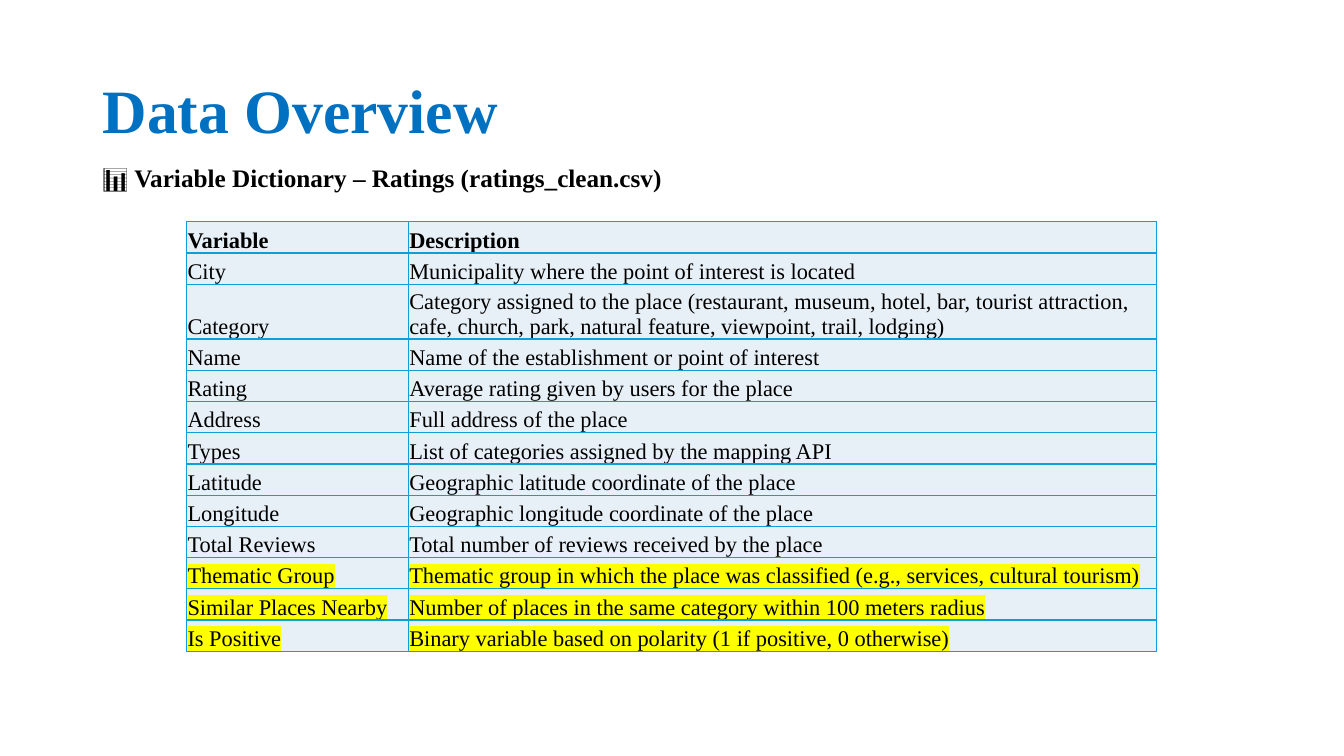
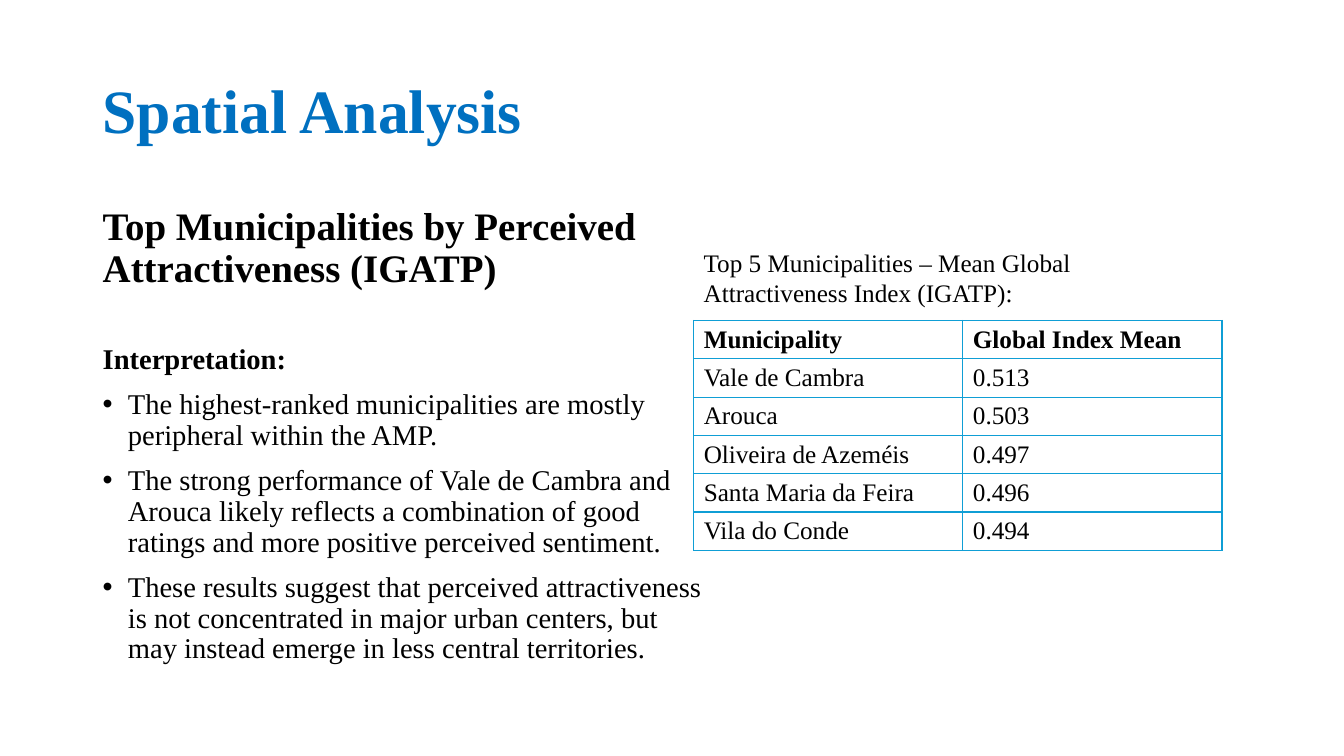
from lxml import etree
from pptx import Presentation
from pptx import util as u
from pptx.dml import color
from pptx.enum import text
from pptx.oxml import ns

FONT = "Times New Roman"
BLUE, BLACK, BORDER = "0070C0", "000000", "0F9ED5"
PALE, YELLOW = "E7F0F7", "FFFF00"

VARIABLES = [
    ("Variable", "Description"),
    ("City", "Municipality where the point of interest is located"),
    ("Category", "Category assigned to the place (restaurant, museum, hotel, bar, "
     "tourist attraction, cafe, church, park, natural feature, viewpoint, trail, lodging)"),
    ("Name", "Name of the establishment or point of interest"),
    ("Rating", "Average rating given by users for the place"),
    ("Address", "Full address of the place"),
    ("Types", "List of categories assigned by the mapping API"),
    ("Latitude", "Geographic latitude coordinate of the place"),
    ("Longitude", "Geographic longitude coordinate of the place"),
    ("Total Reviews", "Total number of reviews received by the place"),
    ("Thematic Group", "Thematic group in which the place was classified "
     "(e.g., services, cultural tourism)"),
    ("Similar Places Nearby", "Number of places in the same category within 100 meters radius"),
    ("Is Positive", "Binary variable based on polarity (1 if positive, 0 otherwise)"),
]
DERIVED = {"Thematic Group", "Similar Places Nearby", "Is Positive"}

MUNICIPALITIES = [
    ("Municipality", "Global Index Mean"),
    ("Vale de Cambra", "0.513"),
    ("Arouca", "0.503"),
    ("Oliveira de Azeméis", "0.497"),
    ("Santa Maria da Feira", "0.496"),
    ("Vila do Conde", "0.494"),
]
FINDINGS = [
    "The highest-ranked municipalities are mostly peripheral within the AMP.",
    "The strong performance of Vale de Cambra and Arouca likely reflects a combination "
    "of good ratings and more positive perceived sentiment.",
    "These results suggest that perceived attractiveness is not concentrated in major "
    "urban centers, but may instead emerge in less central territories.",
]


def rgb(value):
    return color.RGBColor.from_string(value)


def add_xml(parent, tag, **attributes):
    return etree.SubElement(parent, ns.qn(tag), attributes)


def set_font(paragraph, size, bold=None, fill=BLACK):
    font = paragraph.font
    font.name, font.size, font.bold = FONT, u.Pt(size), bold
    font.color.rgb = rgb(fill)


def add_text_box(slide, left, top, width, height, anchor=text.MSO_ANCHOR.TOP):
    shape = slide.shapes.add_textbox(*map(u.Inches, (left, top, width, height)))
    frame = shape.text_frame
    frame.word_wrap = True
    frame.vertical_anchor = anchor
    return frame


def add_title_slide(presentation, title):
    slide = presentation.slides.add_slide(presentation.slide_layouts[6])
    frame = add_text_box(slide, 0.92, 0.4, 11.5, 1.45, text.MSO_ANCHOR.MIDDLE)
    paragraph = frame.paragraphs[0]
    paragraph.text = title
    paragraph.line_spacing = 0.9
    set_font(paragraph, 44, True, BLUE)
    return slide


def add_body_paragraph(frame, content, size, bold=False, before=10, bullet=False):
    first = not frame.text
    paragraph = frame.paragraphs[0] if first else frame.add_paragraph()
    paragraph.text = content
    paragraph.line_spacing = 0.9
    paragraph.space_before = u.Pt(0 if first else before)
    if bullet:
        properties = paragraph._p.get_or_add_pPr()
        properties.set("marL", str(u.Inches(0.25)))
        properties.set("indent", str(u.Inches(-0.25)))
        add_xml(properties, "a:buFont", typeface="Arial")
        add_xml(properties, "a:buChar", char="•")
    set_font(paragraph, size, bold)


def set_borders(cell):
    properties = cell._tc.get_or_add_tcPr()
    for side in ("a:lnL", "a:lnR", "a:lnT", "a:lnB"):
        line = add_xml(properties, side, w=str(u.Pt(1)))
        add_xml(add_xml(line, "a:solidFill"), "a:srgbClr", val=BORDER)


def add_table(slide, left, top, columns, heights, rows, size, margins, anchor,
              fill=None, highlighted=()):
    shape = slide.shapes.add_table(
        len(rows), len(columns), u.Inches(left), u.Inches(top),
        u.Inches(sum(columns)), u.Inches(sum(heights)))
    table = shape.table
    table.first_row = table.horz_banding = False
    for column, width in zip(table.columns, columns):
        column.width = u.Inches(width)
    for index, (row, height, values) in enumerate(zip(table.rows, heights, rows)):
        row.height = u.Inches(height)
        for cell, value in zip(row.cells, values):
            side, above, below = map(u.Inches, margins)
            cell.margin_left = cell.margin_right = side
            cell.margin_top, cell.margin_bottom = above, below
            cell.vertical_anchor = anchor
            set_borders(cell)
            if fill:
                cell.fill.solid()
                cell.fill.fore_color.rgb = rgb(fill)
            else:
                cell.fill.background()
            paragraph = cell.text_frame.paragraphs[0]
            run = paragraph.add_run()
            run.text = value
            set_font(paragraph, size, index == 0)
            if values[0] in highlighted:
                highlight = add_xml(run._r.get_or_add_rPr(), "a:highlight")
                add_xml(highlight, "a:srgbClr", val=YELLOW)


def build_data_overview(presentation):
    slide = add_title_slide(presentation, "Data Overview")
    # Subtitle
    frame = add_text_box(slide, 0.92, 1.56, 9.11, 0.4, text.MSO_ANCHOR.MIDDLE)
    paragraph = frame.paragraphs[0]
    for content, bold in (("📊 ", False),
                          ("Variable Dictionary – Ratings (ratings_clean.csv)", True)):
        run = paragraph.add_run()
        run.text = content
        run.font.bold = bold
    set_font(paragraph, 18)
    # Variable dictionary: only the category row takes two lines
    heights = [0.54 if name == "Category" else 0.31 for name, _ in VARIABLES]
    add_table(slide, 1.85, 2.2, (2.2, 7.42), heights, VARIABLES, 16,
              (0.01, 0.01, 0), text.MSO_ANCHOR.BOTTOM, PALE, DERIVED)


def build_spatial_analysis(presentation):
    slide = add_title_slide(presentation, "Spatial Analysis")
    # Interpretation
    body = add_text_box(slide, 0.92, 2, 6.16, 4.77)
    add_body_paragraph(body, "Top Municipalities by Perceived Attractiveness (IGATP)", 27.8, True)
    add_body_paragraph(body, "Interpretation:", 20.4, True, before=39)
    for finding in FINDINGS:
        add_body_paragraph(body, finding, 20.4, bullet=True)
    # Ranking table and its caption
    add_table(slide, 6.88, 3.18, (2.67, 2.57), [0.38] * len(MUNICIPALITIES),
              MUNICIPALITIES, 18, (0.1, 0.04, 0.04), text.MSO_ANCHOR.MIDDLE)
    caption = add_text_box(slide, 6.88, 2.4, 5.25, 0.71).paragraphs[0]
    caption.text = "Top 5 Municipalities – Mean Global Attractiveness Index (IGATP):"
    set_font(caption, 18)


def main():
    presentation = Presentation()
    presentation.slide_width = u.Inches(13.33)
    presentation.slide_height = u.Inches(7.5)
    build_data_overview(presentation)
    build_spatial_analysis(presentation)
    presentation.save("out.pptx")


if __name__ == "__main__":
    main()
